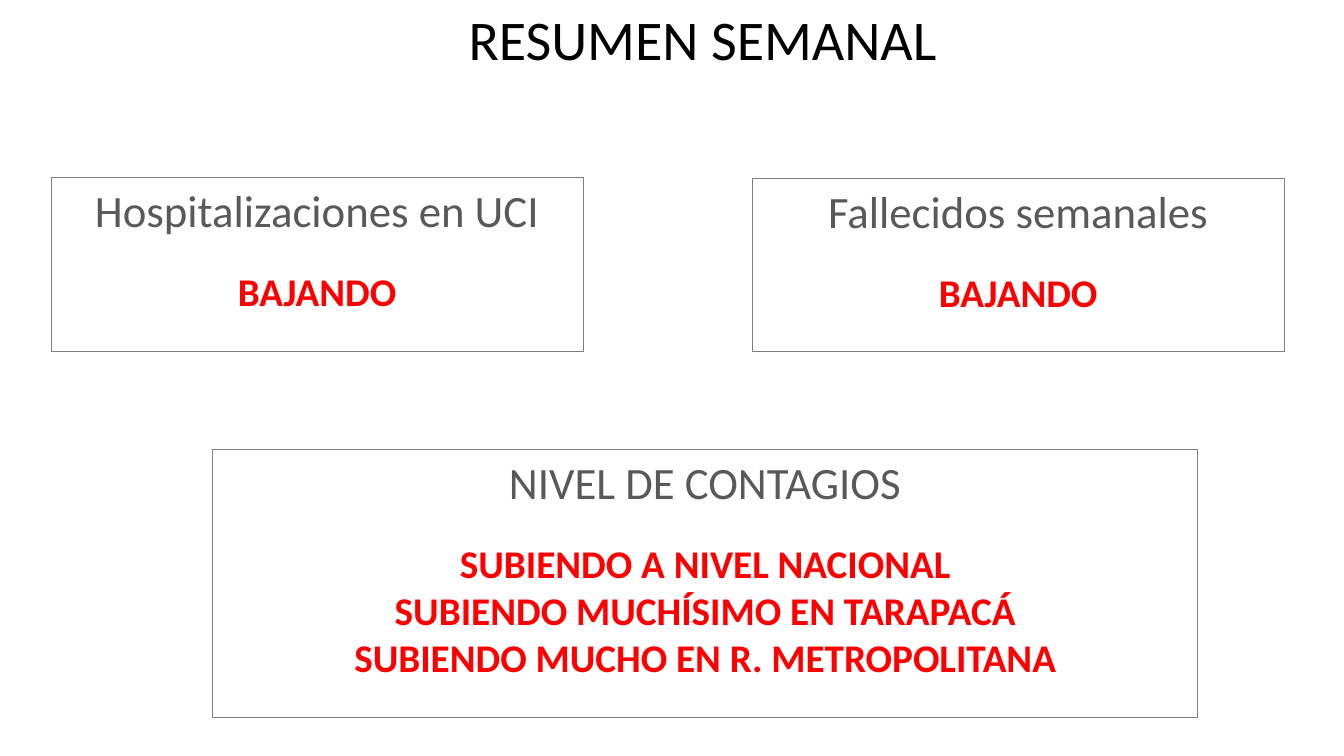
from pptx import Presentation
from pptx.dml.color import RGBColor
from pptx.enum.shapes import MSO_SHAPE
from pptx.enum.text import MSO_ANCHOR, MSO_AUTO_SIZE, PP_ALIGN
from pptx.util import Pt

COLORS = {"title": "000000", "head": "595959", "trend": "FF0000", "line": "808080"}


def add_run(para, text, size, color, bold=False):
    run = para.add_run()
    run.text = text
    run.font.name = "Calibri"
    run.font.size = Pt(size)
    run.font.bold = bold
    run.font.color.rgb = RGBColor.from_string(COLORS[color])


deck = Presentation()
deck.slide_width, deck.slide_height = Pt(960), Pt(540)
slide = deck.slides.add_slide(deck.slide_layouts[6])

title = slide.shapes.add_textbox(Pt(327.6), Pt(0), Pt(352), Pt(55.4)).text_frame
title.word_wrap = False
title.auto_size = MSO_AUTO_SIZE.SHAPE_TO_FIT_TEXT
add_run(title.paragraphs[0], "RESUMEN SEMANAL", 40, "title")

# Each box: left, top, width, height, heading, trend lines
boxes = [
    (36.5, 127, 380, 123.8, "Hospitalizaciones en UCI", ["BAJANDO"]),
    (537.3, 127.4, 380, 123.4, "Fallecidos semanales", ["BAJANDO"]),
    (152, 321.2, 703.4, 191.5, "NIVEL DE CONTAGIOS",
     ["SUBIENDO A NIVEL NACIONAL",
      "SUBIENDO MUCHÍSIMO EN TARAPACÁ",
      "SUBIENDO MUCHO EN R. METROPOLITANA"]),
]
for left, top, width, height, head, trends in boxes:
    box = slide.shapes.add_shape(
        MSO_SHAPE.RECTANGLE, Pt(left), Pt(top), Pt(width), Pt(height))
    box.shadow.inherit = False
    box.fill.background()
    box.line.color.rgb = RGBColor.from_string(COLORS["line"])
    box.line.width = Pt(0.75)
    frame = box.text_frame
    frame.word_wrap = True
    frame.vertical_anchor = MSO_ANCHOR.TOP
    para = frame.paragraphs[0]
    para.alignment = PP_ALIGN.CENTER
    add_run(para, head, 32, "head")
    for num, trend in enumerate(trends):
        para = frame.add_paragraph()
        para.alignment = PP_ALIGN.CENTER
        para.space_before = Pt(0 if num else 22)
        add_run(para, trend, 28, "trend", bold=True)

deck.save("out.pptx")
